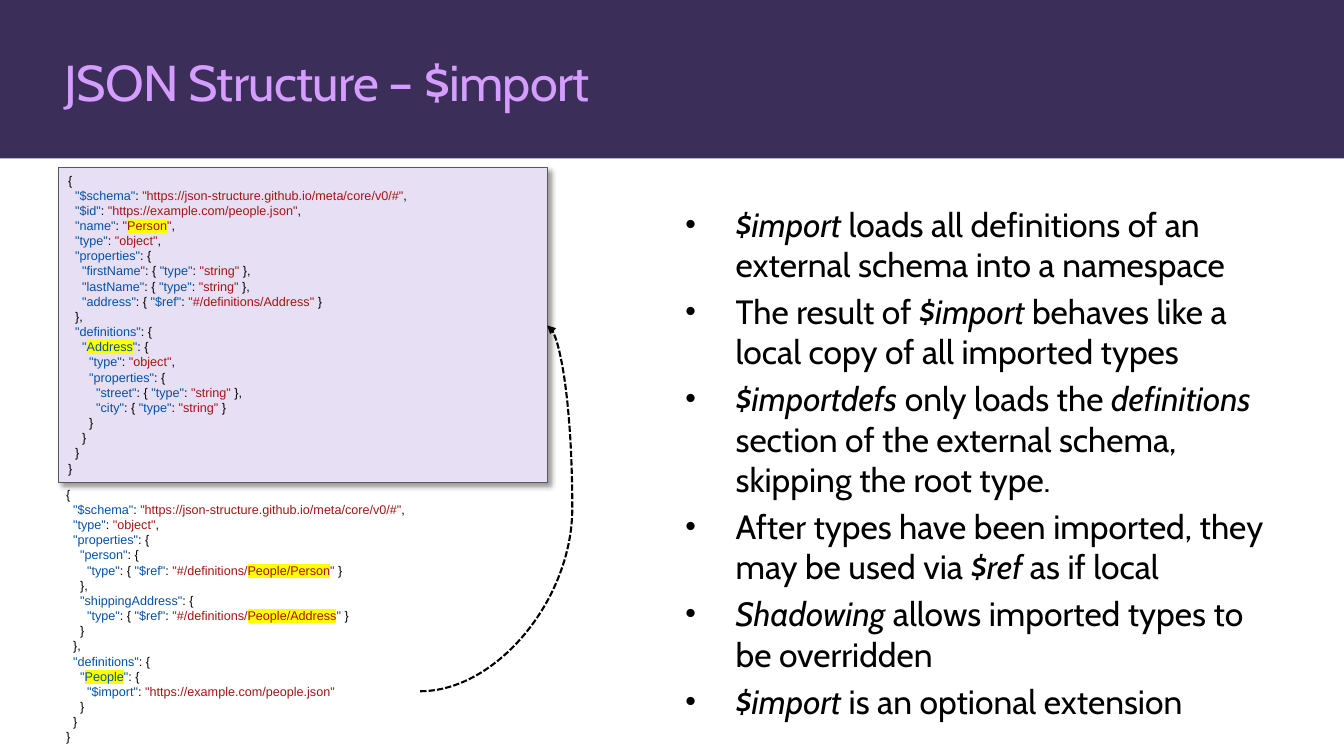
from lxml import etree
from pptx import Presentation
from pptx.dml.color import RGBColor
from pptx.enum import dml, shapes, text
from pptx.oxml.ns import qn
from pptx.util import Cm, Pt

# Content: *...* is italic, «...» is highlighted
TITLE = "JSON Structure – $import"

POINTS = [
    "*$import *loads all definitions of an external schema into a namespace",
    "The result of *$import* behaves like a local copy of all imported types",
    "*$importdefs *only loads the *definitions *section of the external schema, "
    "skipping the root type.",
    "After types have been imported, they may be used via *$ref* as if local",
    "*Shadowing* allows imported types to be overridden",
    "*$import *is an optional extension",
]

PEOPLE_SCHEMA = """{
  "$schema": "https://json-structure.github.io/meta/core/v0/#",
  "$id": "https://example.com/people.json",
  "name": "«Person»",
  "type": "object",
  "properties": {
    "firstName": { "type": "string" },
    "lastName": { "type": "string" },
    "address": { "$ref": "#/definitions/Address" }
  },
  "definitions": {
    "«Address»": {
      "type": "object",
      "properties": {
        "street": { "type": "string" },
        "city": { "type": "string" }
      }
    }
  }
}"""

IMPORTING_SCHEMA = """{
  "$schema": "https://json-structure.github.io/meta/core/v0/#",
  "type": "object",
  "properties": {
    "person": {
      "type": { "$ref": "#/definitions/«People/Person»" }
    },
    "shippingAddress": {
      "type": { "$ref": "#/definitions/«People/Address»" }
    }
  },
  "definitions": {
    "«People»": {
      "$import": "https://example.com/people.json"
    }
  }
}"""

BLACK, KEY, VALUE, MARK = "000000", "0451A5", "A31515", "FFFF00"
BAND, TITLE_COLOR, PANEL, PANEL_EDGE = "3B2E58", "D59DFF", "E7DFF3", "595959"


def rgb(code):
    return RGBColor.from_string(code)


def add_xml(parent, tag, **attrs):
    return etree.SubElement(parent, qn(tag), attrs)


def set_font(p, name, size, color):
    p.font.name, p.font.size = name, Pt(size)
    p.font.color.rgb = rgb(color)


def add_rect(box, fill):
    s = slide.shapes.add_shape(shapes.MSO_SHAPE.RECTANGLE, *map(Cm, box))
    s.shadow.inherit = False
    s.fill.solid()
    s.fill.fore_color.rgb = rgb(fill)
    s.line.fill.background()
    return s


def add_text(box, anchor=text.MSO_ANCHOR.TOP, inset=True):
    tf = slide.shapes.add_textbox(*map(Cm, box)).text_frame
    tf.word_wrap, tf.vertical_anchor = True, anchor
    if not inset:
        tf.margin_left = tf.margin_right = tf.margin_top = tf.margin_bottom = 0
    return tf


def paragraphs(tf, items):
    for i, item in enumerate(items):
        yield (tf.add_paragraph() if i else tf.paragraphs[0]), item


def add_run(p, words, color=None, marked=False):
    if not words:
        return
    r = p.add_run()
    r.text = words
    if color:
        r.font.color.rgb = rgb(color)
    if marked:
        hl = add_xml(r.font._element, "a:highlight")
        add_xml(hl, "a:srgbClr", val=MARK)


def write_code(tf, code):
    """Colour JSON: a quoted part is a key when a colon follows it."""
    for p, line in paragraphs(tf, code.split("\n")):
        p.alignment = text.PP_ALIGN.LEFT
        set_font(p, "Arial", 9, BLACK)
        parts = line.split('"')
        for i, part in enumerate(parts):
            if i % 2 == 0:
                add_run(p, part)
                continue
            color = KEY if parts[i + 1].startswith(":") else VALUE
            pieces = f'"{part}"'.replace("»", "«").split("«")
            for j, piece in enumerate(pieces):
                add_run(p, piece, color, marked=j % 2 == 1)


prs = Presentation()
prs.slide_width, prs.slide_height = Cm(33.87), Cm(19.05)
slide = prs.slides.add_slide(prs.slide_layouts[6])

# Title band
add_rect((0, 0, 33.87, 3.99), BAND)
p = add_text((1.63, 1.27, 30.6, 1.55), text.MSO_ANCHOR.MIDDLE, False).paragraphs[0]
set_font(p, "Cabin", 36, TITLE_COLOR)
add_run(p, TITLE)
p.runs[0].font._element.set("spc", "-50")

# Bullet points
tf = add_text((17.27, 5.13, 14.96, 13.34), inset=False)
for p, point in paragraphs(tf, POINTS):
    pPr = p._p.get_or_add_pPr()
    pPr.set("marL", str(Cm(1.27)))
    pPr.set("indent", str(-Cm(1.27)))
    add_xml(pPr, "a:buSzPct", val="90000")
    add_xml(pPr, "a:buFont", typeface="Arial")
    add_xml(pPr, "a:buChar", char="•")
    if point != POINTS[0]:
        p.space_before = Pt(4.8)
    set_font(p, "Cabin", 24, BLACK)
    for i, words in enumerate(point.split("*")):
        add_run(p, words)
        if words and i % 2:
            p.runs[-1].font.italic = True

# Imported schema panel, with a soft shadow
panel = add_rect((1.47, 4.22, 12.32, 7.95), PANEL)
panel.line.color.rgb = rgb(PANEL_EDGE)
panel.line.width = Pt(0.75)
effects = panel._element.spPr.find(qn("a:effectLst"))
shadow = add_xml(effects, "a:outerShdw", blurRad=str(Pt(4)), dist=str(Pt(3)),
                 dir="2700000", algn="tl", rotWithShape="0")
add_xml(add_xml(shadow, "a:srgbClr", val=BLACK), "a:alpha", val="40000")
panel.text_frame.word_wrap = True
panel.text_frame.vertical_anchor = text.MSO_ANCHOR.TOP
write_code(panel.text_frame, PEOPLE_SCHEMA)

# Importing schema
write_code(add_text((1.42, 12.14, 18.77, 6.81)), IMPORTING_SCHEMA)

# Dashed arrow from the import to the panel
arrow = slide.shapes.add_connector(shapes.MSO_CONNECTOR.CURVE,
                                   Cm(10.59), Cm(17.42), Cm(13.79), Cm(8.2))
arrow.line.color.rgb = rgb(BLACK)
arrow.line.width = Pt(1.5)
arrow.line.dash_style = dml.MSO_LINE.SQUARE_DOT
spPr = arrow._element.spPr
add_xml(spPr.find(qn("a:ln")), "a:tailEnd", type="triangle")
add_xml(spPr, "a:effectLst")
bend = spPr.find(qn("a:prstGeom")).find(qn("a:avLst"))
add_xml(bend, "a:gd", name="adj1", fmla="val 119800")

prs.save("out.pptx")
